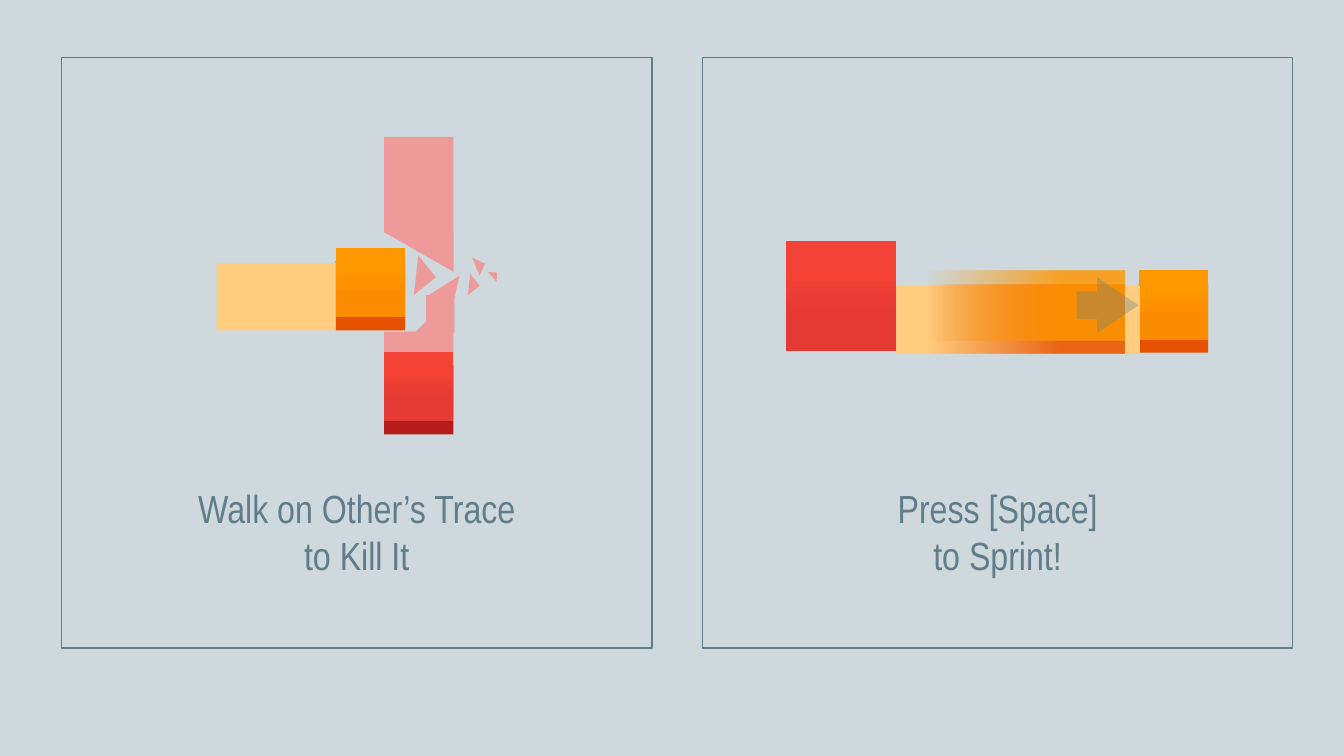
"""Build a game tutorial slide with two illustrated instruction panels."""
import lxml.etree
import pptx
import pptx.dml.color
import pptx.enum.shapes
import pptx.enum.text
import pptx.oxml.ns
import pptx.util

Cm = pptx.util.Cm
SHAPES = pptx.enum.shapes.MSO_SHAPE

COLORS = {
    "background": "CFD8DC", "slate": "607D8B",
    "red light": "F44336", "red": "E53935", "red dark": "B71C1C", "red trace": "EF9A9A",
    "orange light": "FF9800", "orange": "FB8C00", "orange dark": "E65100",
    "orange trace": "FFCC80",
}
RED_FACE = [(26, "red light", 100), (67, "red", 100)]
ORANGE_FACE = [(26, "orange light", 100), (67, "orange", 100)]

PANEL_TOP, PANEL_SIZE = 1.45, 14.88
CAPTION_TOP, CAPTION_HEIGHT = 12.09, 2.64
PANELS = [
    (1.55, 8.59, ["Walk on Other’s Trace", "to Kill It"]),
    (17.7, 5.61, ["Press [Space]", "to Sprint!"]),
]
BLOCK, DEPTH, TRACE = 1.75, 0.33, 1.7

SHARDS = [
    (9.68, 5.85, 1.75, 1, 180),
    (10.8, 6.86, 0.71, 0.71, 282.8),
    (10.46, 7.39, 0.99, 0.99, 270),
    (10.74, 7.44, 0.71, 0.71, 90),
    (10.13, 6.58, 0.71, 0.71, 231.2),
    (11.63, 6.98, 0.38, 0.38, 231.2),
    (11.81, 6.55, 0.36, 0.33, 204.5),
    (12.29, 6.86, 0.23, 0.23, 183.9),
]


def color(name):
    """Return the named palette colour."""
    return pptx.dml.color.RGBColor.from_string(COLORS[name])


def set_alpha(color_element, percent):
    """Make a colour element partly transparent."""
    alpha = lxml.etree.SubElement(color_element, pptx.oxml.ns.qn("a:alpha"))
    alpha.set("val", str(percent * 1000))


def add_shape(parent, left, top, width, height, kind=SHAPES.RECTANGLE, fill=None,
              angle=90, opacity=100, line=None, rotation=0):
    """Add a shape with a plain fill, a list of gradient stops or no fill."""
    shape = parent.shapes.add_shape(kind, Cm(left), Cm(top), Cm(width), Cm(height))
    shape.shadow.inherit = False
    shape.rotation = rotation
    opacities = [opacity]
    if fill is None:
        shape.fill.background()
    elif isinstance(fill, str):
        shape.fill.solid()
        shape.fill.fore_color.rgb = color(fill)
    else:
        shape.fill.gradient()
        shape.fill.gradient_angle = -angle % 360
        for stop, (position, name, _) in zip(shape.fill.gradient_stops, fill):
            stop.position = position / 100
            stop.color.rgb = color(name)
        opacities = [percent for _, _, percent in fill]
    color_elements = list(shape._element.spPr.iter(pptx.oxml.ns.qn("a:srgbClr")))
    for element, percent in zip(color_elements, opacities):
        if percent < 100:
            set_alpha(element, percent)
    if line:
        shape.line.color.rgb = color(line)
        shape.line.width = pptx.util.Pt(1)
    else:
        shape.line.fill.background()
    return shape


def add_block(parent, left, top, face, shade):
    """Add a player block: a dark base with a lit face above it."""
    add_shape(parent, left, top + DEPTH, BLOCK, BLOCK, fill=shade)
    add_shape(parent, left, top, BLOCK, BLOCK, fill=face)


def add_caption(slide, lines, left, top, width, height, size=28, font="Arial Narrow"):
    """Add a centred caption with one paragraph per line."""
    box = slide.shapes.add_textbox(Cm(left), Cm(top), Cm(width), Cm(height))
    frame = box.text_frame
    frame.word_wrap = False
    frame.auto_size = pptx.enum.text.MSO_AUTO_SIZE.SHAPE_TO_FIT_TEXT
    frame.text = "\n".join(lines)
    for paragraph in frame.paragraphs:
        paragraph.alignment = pptx.enum.text.PP_ALIGN.CENTER
        paragraph.font.size = pptx.util.Pt(size)
        paragraph.font.name = font
        paragraph.font.color.rgb = color("slate")


def add_kill_scene(slide):
    """Draw the orange player breaking the red player's trace."""
    scene = slide.shapes.add_group_shape()
    add_shape(scene, 9.68, 8.36, BLOCK, 1.88, fill="red trace")
    add_block(scene, 9.68, 8.87, RED_FACE, "red dark")
    add_shape(scene, 9.68, 3.45, BLOCK, 2.41, fill="red trace")
    add_block(scene, 8.46, 6.25, ORANGE_FACE, "orange dark")
    add_shape(scene, 5.46, 6.63, 3, TRACE, fill="orange trace")
    for left, top, width, height, rotation in SHARDS:
        add_shape(scene, left, top, width, height, kind=SHAPES.RIGHT_TRIANGLE,
                  fill="red trace", rotation=rotation)


def add_sprint_scene(slide):
    """Draw the orange player sprinting away from its red base."""
    scene = slide.shapes.add_group_shape()
    add_block(scene, 28.7, 6.81, ORANGE_FACE, "orange dark")
    add_shape(scene, 22.58, 7.21, 6.15, TRACE, fill="orange trace")
    for top, name in [(6.83 + DEPTH, "orange dark"), (6.83, "orange light")]:
        add_shape(scene, 23.37, top, 4.98, BLOCK, fill=[(0, name, 0), (67, name, 83)], angle=0)
    arrow = add_shape(scene, 27.13, 6.99, 1.57, 1.4, kind=SHAPES.LEFT_ARROW,
                      fill="slate", opacity=32, rotation=180)
    arrow.adjustments[0] = 0.5
    arrow.adjustments[1] = 0.75
    add_shape(scene, 19.81, 6.07, 2.77, 2.77, fill=RED_FACE)


def main():
    """Build and save the presentation."""
    presentation = pptx.Presentation()
    presentation.slide_width, presentation.slide_height = Cm(33.87), Cm(19.05)
    slide = presentation.slides.add_slide(presentation.slide_layouts[6])
    slide.background.fill.solid()
    slide.background.fill.fore_color.rgb = color("background")
    for left, width, lines in PANELS:
        caption_left = left + (PANEL_SIZE - width) / 2
        add_caption(slide, lines, caption_left, CAPTION_TOP, width, CAPTION_HEIGHT)
        add_shape(slide, left, PANEL_TOP, PANEL_SIZE, PANEL_SIZE, line="slate")
    add_kill_scene(slide)
    add_sprint_scene(slide)
    presentation.save("out.pptx")


if __name__ == "__main__":
    main()
